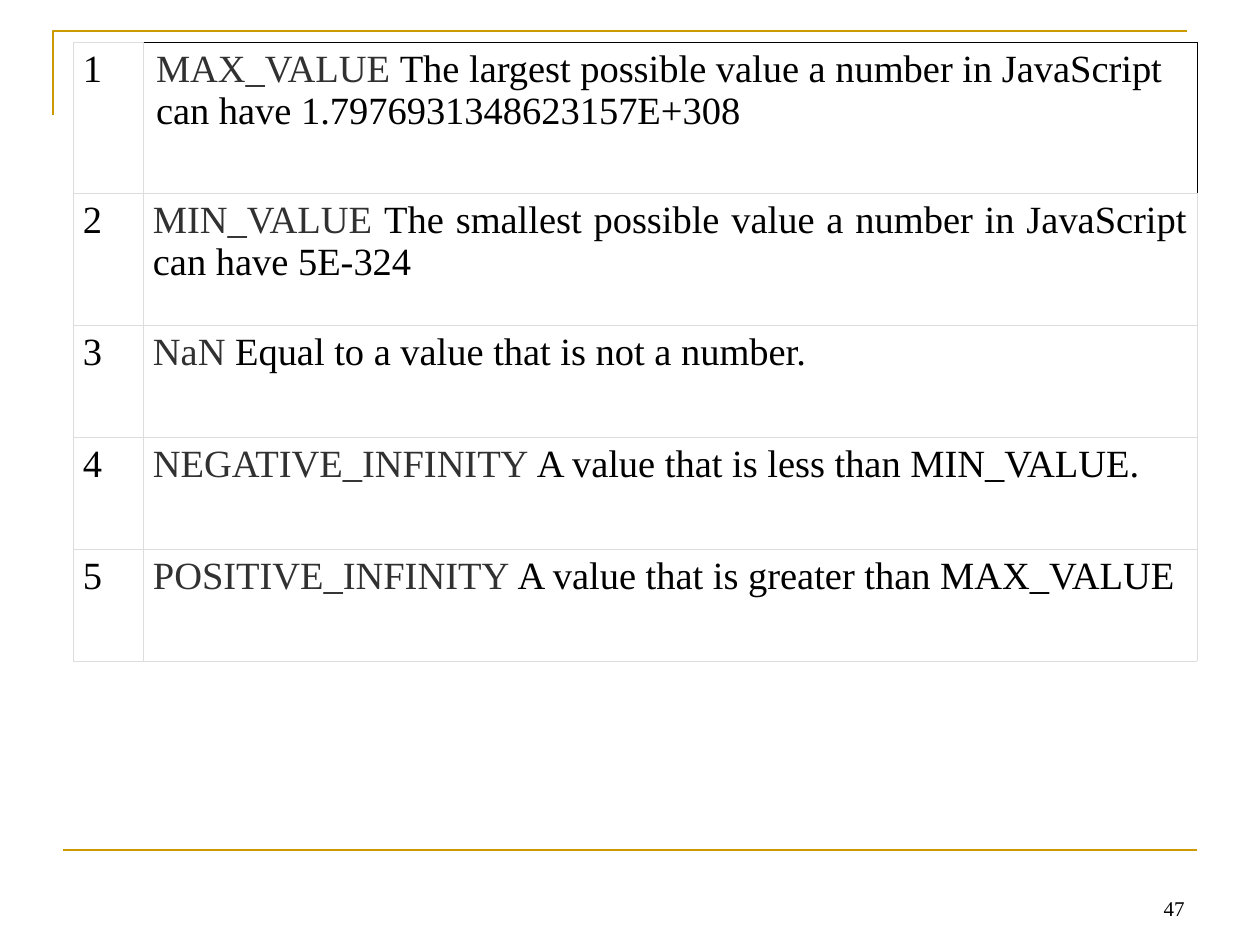
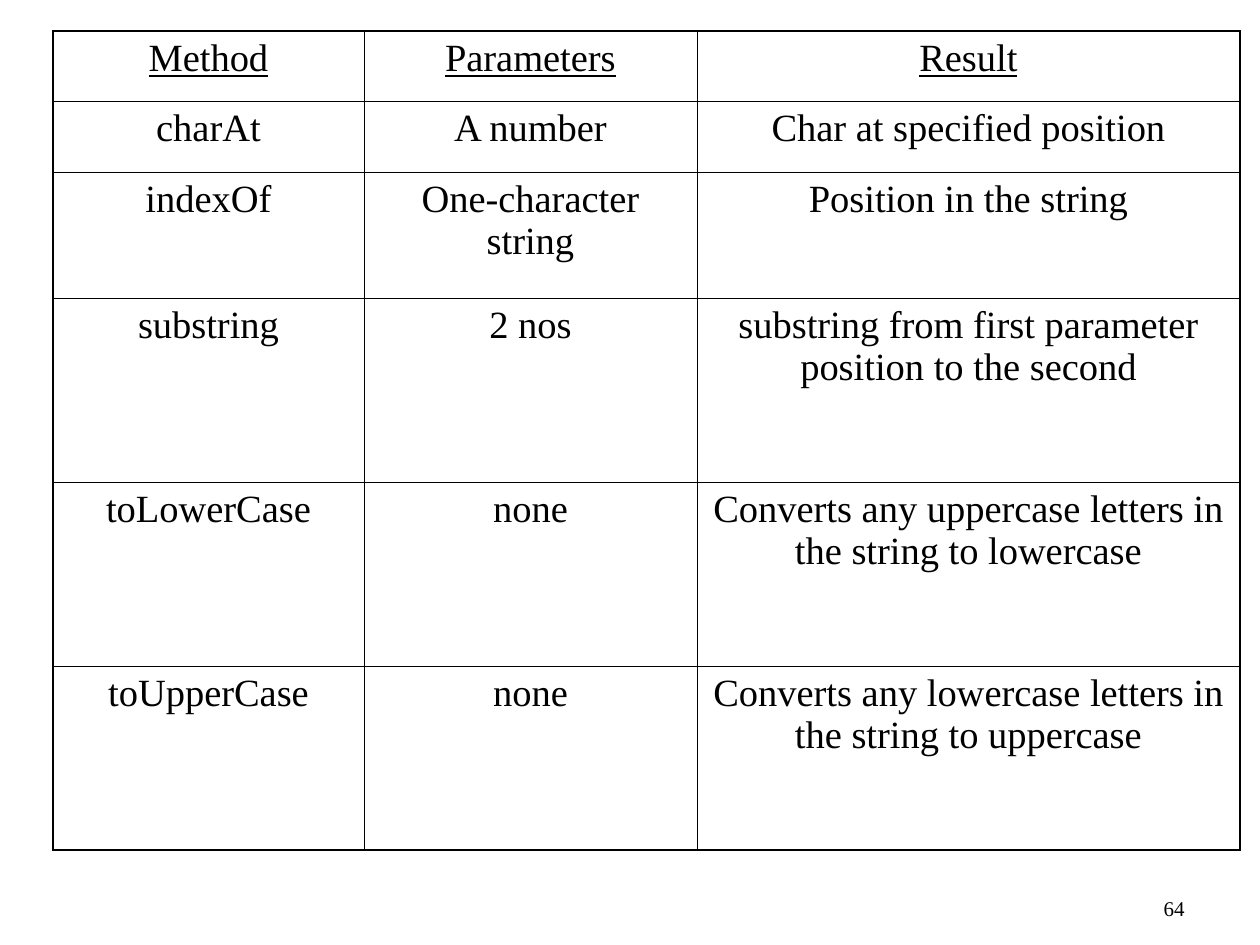
from lxml.etree import SubElement
from pptx import Presentation
from pptx.dml.color import RGBColor
from pptx.enum.shapes import MSO_CONNECTOR
from pptx.enum.text import MSO_ANCHOR, PP_ALIGN
from pptx.oxml import parse_xml
from pptx.oxml.ns import nsdecls, qn
from pptx.util import Emu, Pt

SCALE = 914400 / 126
FONT = "Times New Roman"
GOLD = RGBColor(0xCC, 0x99, 0x00)
BLACK = RGBColor(0x00, 0x00, 0x00)
DARK = RGBColor(0x31, 0x31, 0x31)
PALE = RGBColor(0xDD, 0xDD, 0xDD)
THIN, THICK = (BLACK, 0.45), (BLACK, 1.08)
HAIR = (PALE, 0.34)

CONSTANTS = [
    ("MAX_VALUE ", "The largest possible value a number in JavaScript can have 1.7976931348623157E+308"),
    ("MIN_VALUE ", "The smallest possible value a number in JavaScript can have 5E-324"),
    ("NaN ", "Equal to a value that is not a number."),
    ("NEGATIVE_INFINITY ", "A value that is less than MIN_VALUE."),
    ("POSITIVE_INFINITY ", "A value that is greater than MAX_VALUE"),
]
METHODS = [
    ("Method", "Parameters", "Result"),
    ("charAt", "A number", "Char at specified position"),
    ("indexOf", "One-character string", "Position in the string"),
    ("substring", "2 nos", "substring from first parameter position to the second"),
    ("toLowerCase", "none", "Converts any uppercase letters in the string to lowercase"),
    ("toUpperCase", "none", "Converts any lowercase letters in the string to uppercase"),
]


def px(v):
    return Emu(round(v * SCALE))


def set_line(shape):
    shape.line.color.rgb = GOLD
    shape.line.width = Pt(1.5)


def add_frame(s, x, y, w, h):
    fb = s.shapes.build_freeform(x, y + 84, scale=SCALE)
    fb.add_line_segments([(x, y), (x + w, y)], close=False)
    corner = fb.convert_to_shape()
    corner.fill.background()
    corner.shadow.inherit = False
    set_line(corner)
    rule = s.shapes.add_connector(
        MSO_CONNECTOR.STRAIGHT, px(x + 10), px(y + h), px(x + 10 + w), px(y + h))
    set_line(rule)
    SubElement(rule._element.spPr, qn("a:effectLst"))


def add_page_number(s, number, x, y, w, h):
    tf = s.shapes.add_textbox(px(x), px(y), px(w), px(h)).text_frame
    tf.word_wrap = True
    tf.vertical_anchor = MSO_ANCHOR.BOTTOM
    fill_paragraph(tf.paragraphs[0], [(number, BLACK)], PP_ALIGN.RIGHT, 12)


def fill_paragraph(p, runs, align, size=22):
    p.alignment = align
    p.font.name = FONT
    p.font.size = Pt(size)
    for text, color in runs:
        r = p.add_run()
        r.text = text
        r.font.color.rgb = color


def add_grid(s, x, y, widths, heights):
    tbl = s.shapes.add_table(len(heights), len(widths), px(x), px(y),
                             px(sum(widths)), px(sum(heights))).table
    tbl.first_row = tbl.horz_banding = False
    for col, w in zip(tbl.columns, widths):
        col.width = px(w)
    for row, h in zip(tbl.rows, heights):
        row.height = px(h)
    return tbl


def style_cell(cell, left, right, top, bottom, inset):
    cell.fill.background()
    cell.margin_left = cell.margin_right = px(inset)
    cell.margin_top = cell.margin_bottom = px(6)
    tcPr = cell._tc.get_or_add_tcPr()
    for i, (side, (color, width)) in enumerate(zip("LRTB", (left, right, top, bottom))):
        tcPr.insert(i, parse_xml(
            f'<a:ln{side} {nsdecls("a")} w="{Pt(width)}"><a:solidFill>'
            f'<a:srgbClr val="{color}"/></a:solidFill></a:ln{side}>'))


def add_constants(s, x, y):
    tbl = add_grid(s, x, y, [70, 1054], [151, 132, 112, 112, 112])
    for i, (name, meaning) in enumerate(CONSTANTS):
        number, text = tbl.cell(i, 0), tbl.cell(i, 1)
        first = i == 0
        edge = THIN if first else HAIR
        style_cell(number, HAIR, HAIR, HAIR, HAIR, 10)
        style_cell(text, HAIR, edge, edge, HAIR, 13 if first else 10)
        fill_paragraph(number.text_frame.paragraphs[0], [(str(i + 1), BLACK)],
                       PP_ALIGN.JUSTIFY if first else PP_ALIGN.LEFT)
        fill_paragraph(text.text_frame.paragraphs[0], [(name, DARK), (meaning, BLACK)],
                       PP_ALIGN.LEFT if first else PP_ALIGN.JUSTIFY)


def add_methods(s, x, y):
    tbl = add_grid(s, x, y, [311, 333, 543], [70, 71, 126, 184, 184, 184])
    last_row, last_col = len(METHODS) - 1, len(METHODS[0]) - 1
    for i, row in enumerate(METHODS):
        for j, text in enumerate(row):
            cell = tbl.cell(i, j)
            outer = (j == 0, j == last_col, i == 0, i == last_row)
            style_cell(cell, *(THICK if edge else THIN for edge in outer), 13)
            p = cell.text_frame.paragraphs[0]
            fill_paragraph(p, [(text, BLACK)], PP_ALIGN.CENTER)
            p.space_before = Pt(5.5)
            if i == 0:
                p.runs[0].font.underline = True


def add_slide(prs, number, add_content, x, y):
    s = prs.slides.add_slide(prs.slide_layouts[6])
    add_frame(s, 53, 31, 1134, 819)
    add_content(s, x, y)
    add_page_number(s, number, 903, 861, 294, 66)


def main():
    prs = Presentation()
    prs.slide_width, prs.slide_height = px(1260), px(945)
    add_slide(prs, "47", add_constants, 73, 42)
    add_slide(prs, "64", add_methods, 53, 31)
    prs.save("out.pptx")


if __name__ == "__main__":
    main()
